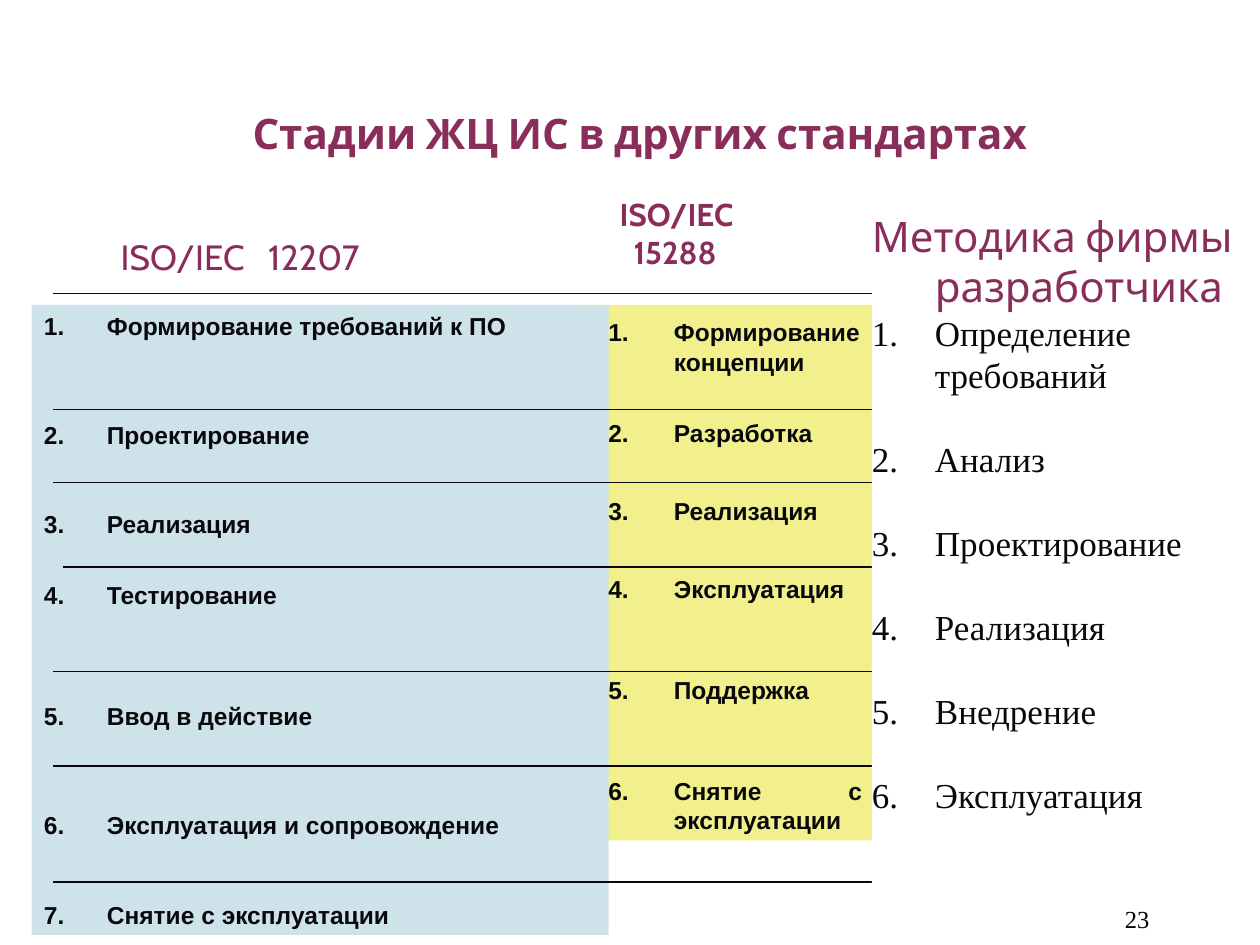
from lxml import etree
from pptx import Presentation
from pptx.dml.color import RGBColor
from pptx.enum.shapes import MSO_CONNECTOR, MSO_SHAPE
from pptx.enum.text import MSO_ANCHOR, PP_ALIGN
from pptx.oxml.ns import qn
from pptx.util import Inches, Pt

RECT, LINE = MSO_SHAPE.RECTANGLE, MSO_CONNECTOR.STRAIGHT
TOP, BOTTOM = MSO_ANCHOR.TOP, MSO_ANCHOR.BOTTOM
LEFT, CENTER = PP_ALIGN.LEFT, PP_ALIGN.CENTER
RIGHT, JUSTIFY = PP_ALIGN.RIGHT, PP_ALIGN.JUSTIFY

COLORS = {"blue": "CDE2E9", "yellow": "F2F08C", "white": "FFFFFF",
          "plum": "892D5B", "ink": "09090D", "black": "000000"}


def add_box(x, y, w, h, fill=None, anchor=TOP, margins=(0.1, 0.05), wrap=True):
    """Add a text box, or a filled rectangle without outline if fill is given."""
    if fill:
        sp = s.shapes.add_shape(RECT, Inches(x), Inches(y), Inches(w), Inches(h))
        sp.shadow.inherit = False
        sp.fill.solid()
        sp.fill.fore_color.rgb = RGBColor.from_string(COLORS[fill])
        sp.line.fill.background()
    else:
        sp = s.shapes.add_textbox(Inches(x), Inches(y), Inches(w), Inches(h))
    tf = sp.text_frame
    tf.word_wrap = wrap
    tf.vertical_anchor = anchor
    tf.margin_left = tf.margin_right = Inches(margins[0])
    tf.margin_top = tf.margin_bottom = Inches(margins[1])
    return tf


def add_text(tf, text, size, font, color, bold=False, align=LEFT, before=0,
             indent=None, numbered=False, spacing=None):
    """Write one paragraph; indent is (left margin, first line) in inches."""
    p = tf.paragraphs[0] if not tf.paragraphs[0].runs else tf.add_paragraph()
    p.alignment = align
    if before:
        p.space_before = Pt(before)
    if spacing:
        p.line_spacing = Pt(spacing)
    pPr = p._p.get_or_add_pPr()
    if indent:
        pPr.set("marL", str(Inches(indent[0])))
        pPr.set("indent", str(Inches(indent[1])))
    if numbered:
        clr = etree.SubElement(pPr, qn("a:buClr"))
        etree.SubElement(clr, qn("a:srgbClr"), val=COLORS[color])
        etree.SubElement(pPr, qn("a:buAutoNum"), type="arabicPeriod")
    r = p.add_run()
    r.text = text
    r.font.size = Pt(size)
    r.font.name = font
    r.font.bold = bold
    r.font.color.rgb = RGBColor.from_string(COLORS[color])
    return p


prs = Presentation()
prs.slide_width, prs.slide_height = Inches(10), Inches(7.5)
s = prs.slides.add_slide(prs.slide_layouts[6])

add_box(4.58, 2.42, 5.42, 4.25, "yellow")

tf = add_box(0.83, 0, 8.5, 1.25, anchor=BOTTOM, margins=(0, 0))
add_text(tf, "Стадии ЖЦ ИС в других стандартах", 24, "Cabin", "plum", True, CENTER)

# ISO/IEC 12207: each stage with the space above it in points
stages_12207 = [
    ("Формирование требований к ПО", 0),
    ("Проектирование", 45.3),
    ("Реализация", 34.4),
    ("Тестирование", 23.4),
    ("Ввод в действие", 52.6),
    ("Эксплуатация и сопровождение", 45.3),
    ("Снятие с эксплуатации", 34.4),
]
tf = add_box(0.25, 2.42, 4.58, 5, "blue")
for stage, before in stages_12207:
    add_text(tf, stage, 14, "Arial", "ink", True, before=before,
             indent=(0.5, -0.5), numbered=True, spacing=16.8)

# ISO/IEC 15288: each stage with its row height
stages_15288 = [
    ("Формирование концепции", 0.8),
    ("Разработка", 0.62),
    ("Реализация", 0.62),
    ("Эксплуатация", 0.8),
    ("Поддержка", 0.8),
    ("Снятие с эксплуатации", 0.8),
]
y = 2.47
for number, (stage, height) in enumerate(stages_15288, 1):
    for x, width, text in ((4.73, 0.4, f"{number}."), (5.25, 1.69, stage)):
        tf = add_box(x, y, width, height)
        add_text(tf, text, 14, "Arial", "ink", True, JUSTIFY, spacing=16.8)
    y += height

# Column headings
tf = add_box(0.86, 1.75, 2.46, 0.5, anchor=BOTTOM, wrap=False)
p = add_text(tf, "ISO/IEC\t12207", 20, "Cabin", "plum")
tabs = etree.SubElement(p._p.get_or_add_pPr(), qn("a:tabLst"))
etree.SubElement(tabs, qn("a:tab"), pos=str(Inches(1.17)), algn="l")

tf = add_box(4.82, 1.5, 1.2, 0.7, "white", wrap=False)
add_text(tf, "ISO/IEC", 18, "Cabin", "plum", True)
add_text(tf, "15288", 18, "Cabin", "plum", True, indent=(0.11, 0))

# Row rules
for x, y in ((0.42, 2.33), (0.42, 3.25), (0.42, 3.83), (0.5, 4.5),
             (0.42, 5.33), (0.42, 6.08), (0.42, 7)):
    rule = s.shapes.add_connector(LINE, Inches(x), Inches(y), Inches(x + 9.25), Inches(y))
    rule.line.color.rgb = RGBColor.from_string(COLORS["ink"])
    rule.line.width = Pt(0.75)
    etree.SubElement(rule._element.spPr, qn("a:effectLst"))

# Vendor method
stages_vendor = ["Определение требований", "Анализ", "Проектирование",
                 "Реализация", "Внедрение", "Эксплуатация"]
tf = add_box(6.92, 1.67, 3.08, 5.47, "white", margins=(0, 0))
add_text(tf, "Методика фирмы разработчика", 24, "Cabin", "plum", indent=(0.5, -0.5))
for i, stage in enumerate(stages_vendor):
    add_text(tf, stage, 20, "Times New Roman", "ink", before=24 if i else 0,
             indent=(0.5, -0.5), numbered=True, spacing=24)

tf = add_box(7.14, 6.96, 2.08, 0.5, anchor=BOTTOM)
add_text(tf, "23", 14, "Times New Roman", "black", align=RIGHT)

prs.save("out.pptx")
